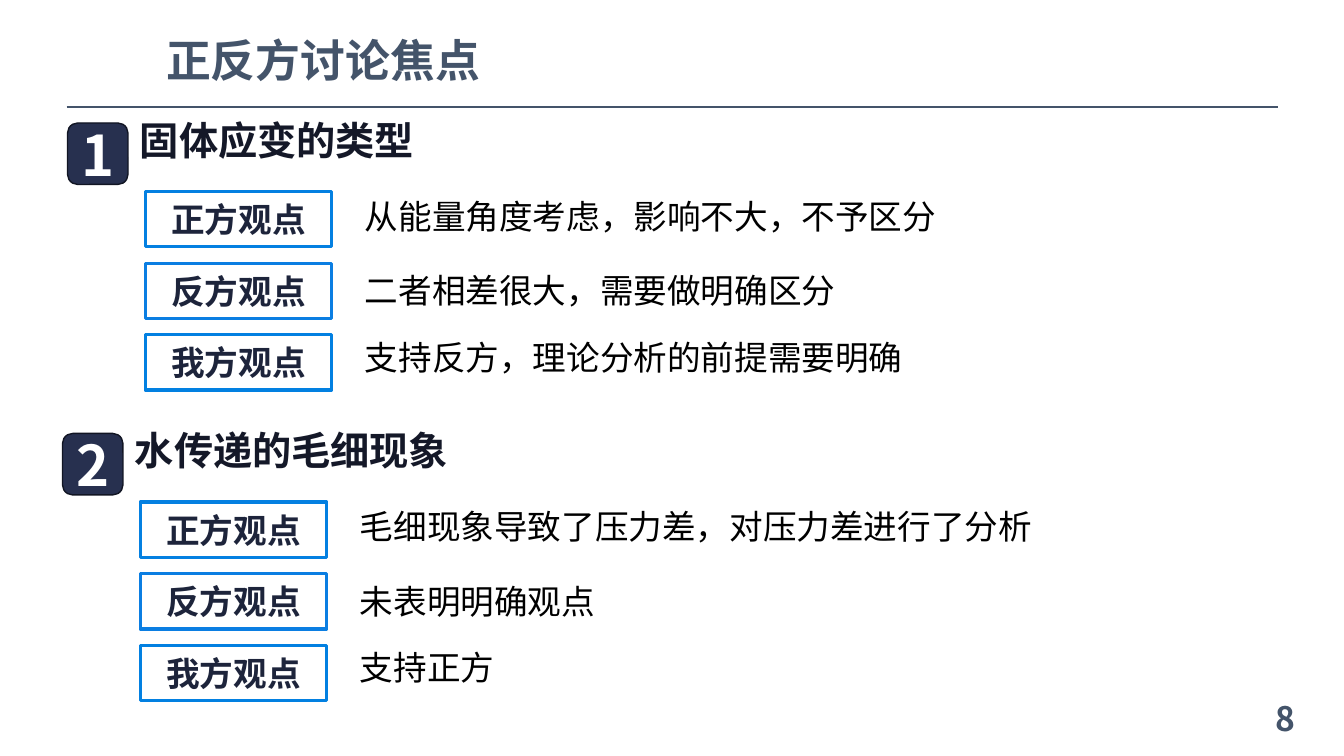
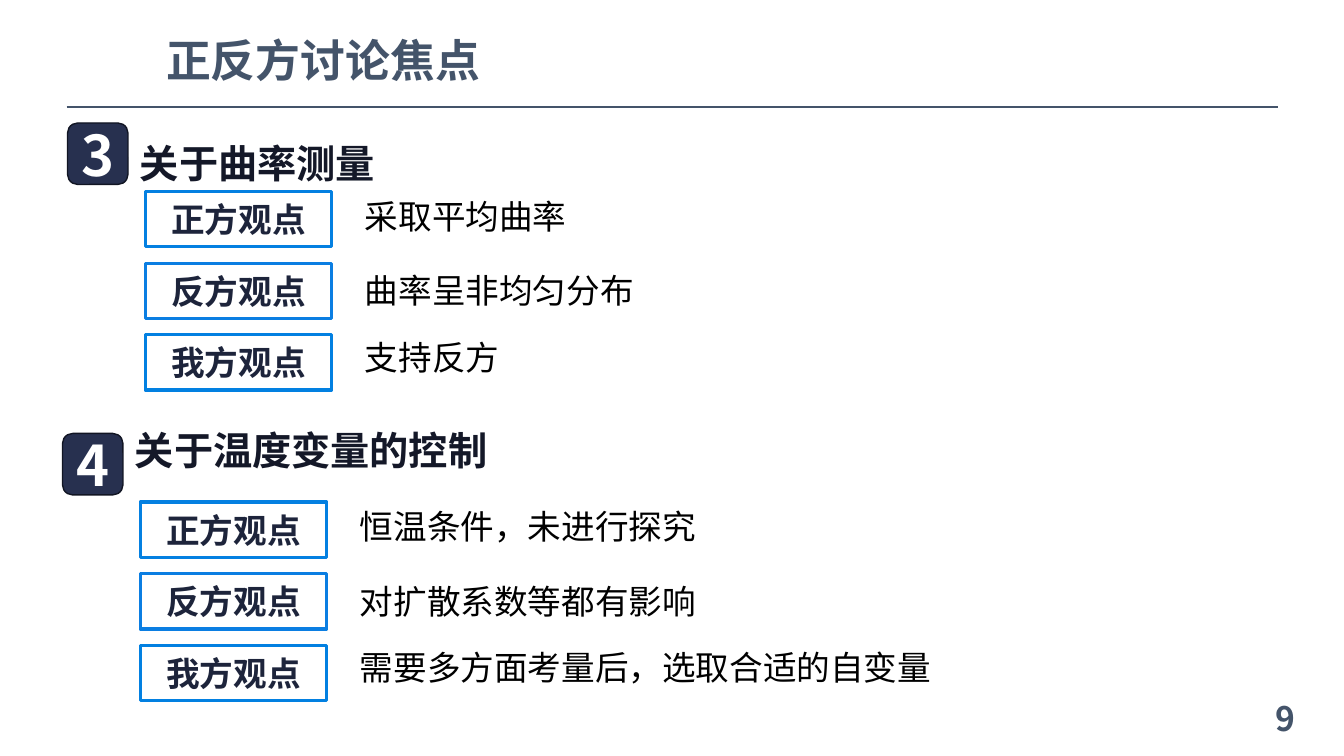
from pptx import Presentation
from pptx.dml.color import RGBColor
from pptx.enum.shapes import MSO_CONNECTOR, MSO_SHAPE
from pptx.enum.text import MSO_ANCHOR, MSO_AUTO_SIZE, PP_ALIGN
from pptx.oxml.ns import qn
from pptx.util import Inches, Pt
from lxml.etree import SubElement

FONT = "Noto Sans CJK SC"
COLORS = {
    "title": "44546A", "badge": "27304F", "rim": "111523", "head": "141828",
    "label": "1D243B", "text": "000000", "white": "FFFFFF",
    "pro": "0480E1", "con": "0B7EE2", "own": "0280E1",
}
TITLE = "正反方讨论焦点"
# label, outline colour, offset of its note from the block's top
SIDES = [("正方观点", "pro", 0.67), ("反方观点", "con", 1.41), ("我方观点", "own", 2.07)]
# left and top of the two blocks on each slide
SPOTS = [(0.67, 1.22), (0.62, 4.3)]
# page number, then for each block: number, heading, line spacing, notes
PAGES = [
    ("8", [
        ("1", "固体应变的类型", None,
         ["从能量角度考虑，影响不大，不予区分", "二者相差很大，需要做明确区分",
          "支持反方，理论分析的前提需要明确"]),
        ("2", "水传递的毛细现象", None,
         ["毛细现象导致了压力差，对压力差进行了分析", "未表明明确观点", "支持正方"]),
    ]),
    ("9", [
        ("3", "关于曲率测量", 1.5,
         ["采取平均曲率", "曲率呈非均匀分布", "支持反方"]),
        ("4", "关于温度变量的控制", None,
         ["恒温条件，未进行探究", "对扩散系数等都有影响",
          "需要多方面考量后，选取合适的自变量"]),
    ]),
]


def rgb(key):
    return RGBColor.from_string(COLORS[key])


def write(shape, text, size, color, bold=True, align=PP_ALIGN.LEFT, gap=None):
    shape.text_frame.text = text
    para = shape.text_frame.paragraphs[0]
    para.alignment = align
    para.line_spacing = gap
    font = para.runs[0].font
    font.name, font.size, font.bold = FONT, Pt(size), bold
    font.color.rgb = rgb(color)
    # East Asian text takes its font from a:ea
    SubElement(para.runs[0]._r.rPr, qn("a:ea")).set("typeface", FONT)


def add_text(slide, box, text, size, color, anchor=MSO_ANCHOR.TOP, **style):
    shape = slide.shapes.add_textbox(*map(Inches, box))
    frame = shape.text_frame
    frame.word_wrap = True
    frame.auto_size = MSO_AUTO_SIZE.SHAPE_TO_FIT_TEXT
    frame.vertical_anchor = anchor
    write(shape, text, size, color, **style)


def add_box(slide, kind, box, text, size, color, line, width, fill=None):
    shape = slide.shapes.add_shape(kind, *map(Inches, box))
    shape.shadow.inherit = False
    if fill:
        shape.fill.solid()
        shape.fill.fore_color.rgb = rgb(fill)
    else:
        shape.fill.background()
    shape.line.color.rgb = rgb(line)
    shape.line.width = Pt(width)
    shape.text_frame.vertical_anchor = MSO_ANCHOR.MIDDLE
    write(shape, text, size, color, align=PP_ALIGN.CENTER)


def add_frame(slide, number):
    """Place the rule, page number and title that every slide has."""
    rule = slide.shapes.add_connector(
        MSO_CONNECTOR.STRAIGHT, *map(Inches, (0.66, 1.06, 12.68, 1.06)))
    rule.line.color.rgb = rgb("title")
    rule.line.width = Pt(1.75)
    SubElement(rule._element.spPr, qn("a:effectLst"))
    add_text(slide, (9.95, 6.87, 3, 0.5), number, 24, "title",
             anchor=MSO_ANCHOR.MIDDLE, align=PP_ALIGN.RIGHT)
    add_text(slide, (1.55, 0.28, 4.24, 0.64), TITLE, 32, "title")


def add_block(slide, left, top, number, head, gap, notes):
    """Place a numbered heading with the views of the three sides below it."""
    add_box(slide, MSO_SHAPE.ROUNDED_RECTANGLE, (left, top, 0.6, 0.61),
            number, 40, "white", "rim", 1, fill="badge")
    add_text(slide, (left + 0.62, top - 0.12, 8.66, 0.57), head, 28, "head", gap=gap)
    for row, ((label, line, drop), note) in enumerate(zip(SIDES, notes)):
        add_box(slide, MSO_SHAPE.RECTANGLE,
                (left + 0.77, top + 0.68 + row * 0.71, 1.85, 0.55),
                label, 24, "label", line, 2.25)
        add_text(slide, (left + 2.85, top + drop, 9.18, 0.5),
                 note, 24, "text", bold=False)


def main():
    deck = Presentation()
    deck.slide_width, deck.slide_height = Inches(13.33), Inches(7.5)
    for number, blocks in PAGES:
        slide = deck.slides.add_slide(deck.slide_layouts[6])
        add_frame(slide, number)
        for (left, top), block in zip(SPOTS, blocks):
            add_block(slide, left, top, *block)
    deck.save("out.pptx")


if __name__ == "__main__":
    main()
